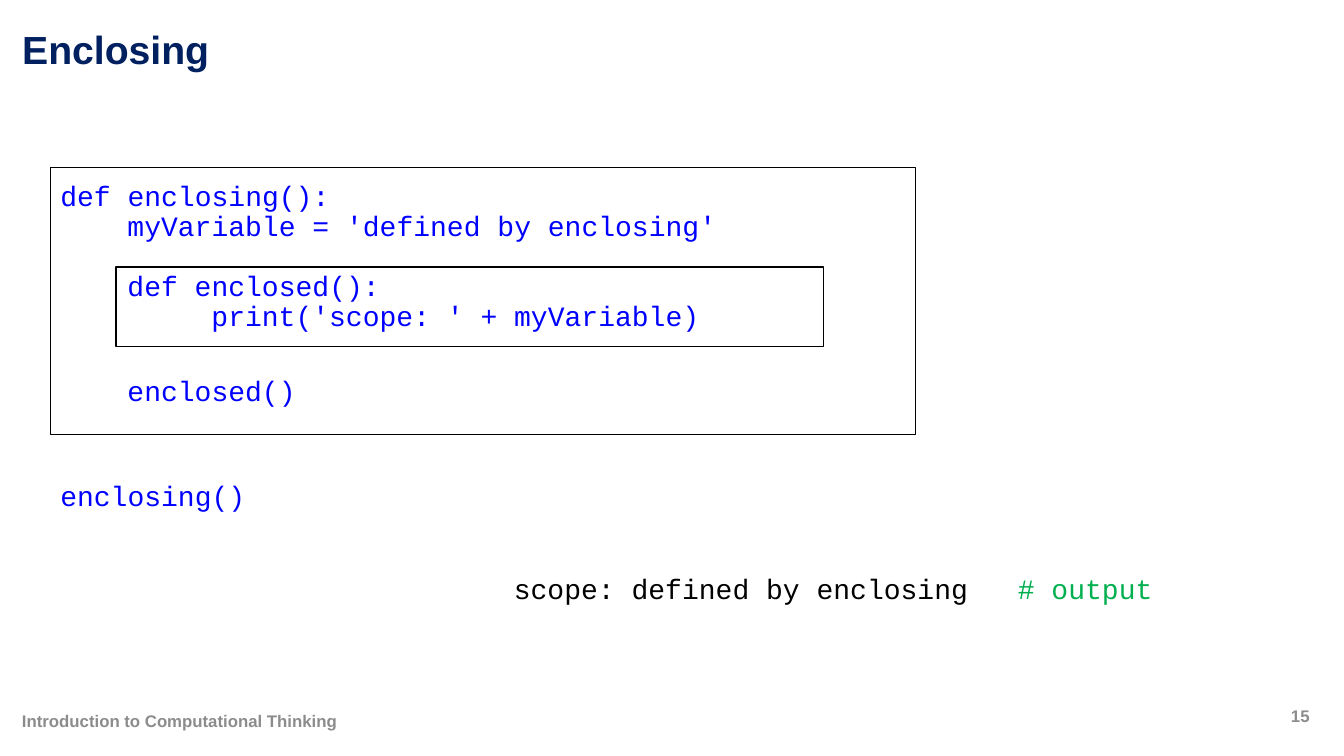
from pptx import Presentation
from pptx.dml.color import RGBColor
from pptx.enum.shapes import MSO_SHAPE
from pptx.enum.text import MSO_ANCHOR, PP_ALIGN
from pptx.util import Pt

RECTANGLE = MSO_SHAPE.RECTANGLE
TOP, MIDDLE = MSO_ANCHOR.TOP, MSO_ANCHOR.MIDDLE
LEFT, CENTER = PP_ALIGN.LEFT, PP_ALIGN.CENTER

COLORS = {
    "title": "002060",
    "footer": "8C8C8C",
    "code": "0000FF",
    "output": "000000",
    "comment": "00B050",
    "line": "000000",
    "fill": "FFFFFF",
}
FORMATS = {
    "title": {"name": "Arial", "size": Pt(28), "bold": True},
    "footer": {"name": "Arial", "size": Pt(12), "bold": True},
    "code": {"name": "Courier New", "size": Pt(20), "bold": False},
}
CHARACTER = 12      # width of one code character
LINE = 21.6         # height of one code line

# Each code line: indent in characters, space before, text
CODE_LINES = [
    (0, 0, "def enclosing():"),
    (4, 0, "myVariable = 'defined by enclosing'"),
    (4, LINE, "def enclosed():"),
    (9, 0, "print('scope: ' + myVariable)"),
    (4, LINE + 10, "enclosed()"),
    (0, 2 * LINE + 10, "enclosing()"),
]


class SlideBuilder:
    """Holds the style and the current slide."""

    def __init__(self, page):
        self.page = page

    def color(self, name):
        return RGBColor.from_string(COLORS[name])

    def span(self, para, text, style, color):
        span = para.add_run()
        span.text = text
        for attribute, value in FORMATS[style].items():
            setattr(span.font, attribute, value)
        span.font.color.rgb = self.color(color)

    def title(self, text, left, top, width, height):
        box = self.page.shapes.title
        place = {"left": left, "top": top, "width": width, "height": height}
        for attribute, value in place.items():
            setattr(box, attribute, Pt(value))
        box.text_frame.vertical_anchor = MIDDLE
        para = box.text_frame.paragraphs[0]
        para.alignment = LEFT
        para.line_spacing = 0.9
        self.span(para, text, "title", "title")

    def text_box(self, place, anchor=TOP):
        box = self.page.shapes.add_textbox(*map(Pt, place))
        box.text_frame.word_wrap = True
        box.text_frame.vertical_anchor = anchor
        return box.text_frame

    def label(self, place, spans, style, anchor=TOP, alignment=LEFT):
        para = self.text_box(place, anchor).paragraphs[0]
        para.alignment = alignment
        for text, color in spans:
            self.span(para, text, style, color)

    def frame(self, *place):
        box = self.page.shapes.add_shape(RECTANGLE, *map(Pt, place))
        box.shadow.inherit = False
        box.fill.solid()
        box.fill.fore_color.rgb = self.color("fill")
        box.line.color.rgb = self.color("line")
        box.line.width = Pt(1)

    def code(self, place, lines):
        text_frame = self.text_box(place)
        for number, (indent, space, text) in enumerate(lines):
            para = text_frame.add_paragraph() if number else text_frame.paragraphs[0]
            para.line_spacing = Pt(LINE)
            para.space_before = Pt(space)
            para._p.get_or_add_pPr().set("marL", str(Pt(indent * CHARACTER)))
            self.span(para, text, "code", "code")


def main():
    deck = Presentation()
    deck.slide_width, deck.slide_height = Pt(960), Pt(540)
    title_only = deck.slide_layouts[5]
    builder = SlideBuilder(deck.slides.add_slide(title_only))

    # Title and footer
    builder.title("Enclosing", 8.64, 12.24, 914.4, 48.96)
    builder.label((8.64, 500.4, 593.28, 28.8),
                  [("Introduction to Computational Thinking", "footer")],
                  "footer", MIDDLE)
    builder.label((911.52, 496.8, 34.56, 28.8), [("15", "footer")],
                  "footer", MIDDLE, CENTER)

    # Outer and inner scope
    builder.frame(36, 119.52, 617.76, 190.8)
    builder.frame(82.8, 190.8, 505.44, 56.88)

    # Code and its output
    builder.code((36, 126, 648, 356.4), CODE_LINES)
    builder.label((360, 404.64, 480.24, 31.68),
                  [("scope: defined by enclosing\t", "output"),
                   ("# output", "comment")], "code")

    deck.save("out.pptx")


if __name__ == "__main__":
    main()
